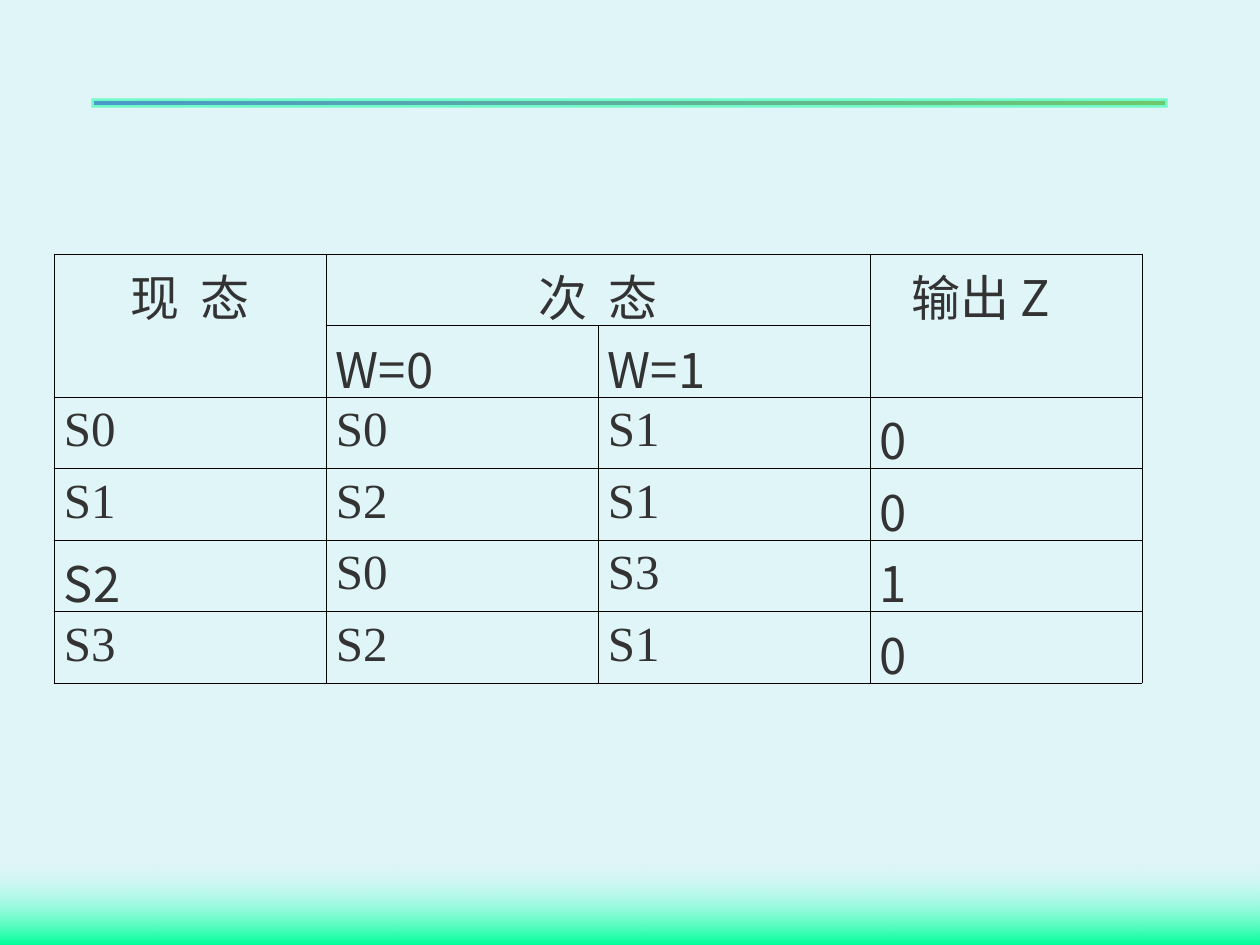
from dataclasses import dataclass

from lxml import etree
from pptx import Presentation
from pptx.dml.color import RGBColor
from pptx.enum.shapes import MSO_SHAPE
from pptx.enum.text import MSO_ANCHOR, PP_ALIGN
from pptx.oxml.ns import qn
from pptx.util import Emu, Pt

RECTANGLE = MSO_SHAPE.RECTANGLE
CENTER, JUSTIFY = PP_ALIGN.CENTER, PP_ALIGN.JUSTIFY
TOP = MSO_ANCHOR.TOP
PX_PER_INCH = 126


@dataclass(frozen=True)
class Theme:
    background: str = "E0F5F8"
    text: str = "333333"
    border: str = "000000"
    green: str = "00FF99"
    cyan: str = "CCFFFF"
    violet: str = "9933FF"
    orange: str = "E09142"
    serif: str = "Times New Roman"
    sans: str = "Noto Sans CJK SC"
    size: float = 28
    border_width: float = 0.45
    rule_width: float = 3


THEME = Theme()


@dataclass(frozen=True)
class Span:
    text: str
    font: str = THEME.serif
    spacing: int = 0  # extra letter spacing, hundredths of a point


@dataclass(frozen=True)
class Entry:
    row: int
    column: int
    spans: tuple[Span, ...]
    align: PP_ALIGN = JUSTIFY
    indent: int = 0
    rows: int = 1
    columns: int = 1


@dataclass(frozen=True)
class Band:
    left: int
    top: int
    width: int
    height: int
    start: str
    end: str
    angle: int  # counter-clockwise
    start_alpha: int = 100
    outline: str = ""


def px(length: int) -> Emu:
    return Emu(length * 914400 // PX_PER_INCH)


def set_alpha(color_element, percent: int) -> None:
    etree.SubElement(color_element, qn("a:alpha")).set("val", str(percent * 1000))


def draw_band(page, band: Band) -> None:
    shape = page.shapes.add_shape(
        RECTANGLE, px(band.left), px(band.top), px(band.width), px(band.height))
    shape.shadow.inherit = False
    shape.fill.gradient()
    shape.fill.gradient_angle = band.angle
    for stop, color in zip(shape.fill.gradient_stops, (band.start, band.end)):
        stop.color.rgb = RGBColor.from_string(color)
    properties = shape._element.spPr
    if band.start_alpha < 100:
        set_alpha(properties.find(".//" + qn("a:srgbClr")), band.start_alpha)
    if band.outline:
        shape.line.color.rgb = RGBColor.from_string(band.outline)
        shape.line.width = Pt(THEME.rule_width)
        outline = properties.find(qn("a:ln"))
        set_alpha(outline.find(".//" + qn("a:srgbClr")), 50)
        etree.SubElement(outline, qn("a:miter")).set("lim", "800000")
    else:
        shape.line.fill.background()


def style_cell(cell) -> None:
    cell_properties = cell._tc.get_or_add_tcPr()
    for side in ("lnL", "lnR", "lnT", "lnB"):
        line = etree.SubElement(cell_properties, qn(f"a:{side}"))
        line.set("w", str(Pt(THEME.border_width)))
        solid = etree.SubElement(line, qn("a:solidFill"))
        etree.SubElement(solid, qn("a:srgbClr")).set("val", THEME.border)
    cell.fill.background()
    cell.margin_left = cell.margin_right = px(10)
    cell.margin_top = px(6)
    cell.margin_bottom = px(-6)  # keeps the rows tighter than the line height
    cell.vertical_anchor = TOP


def write_entry(table, entry: Entry) -> None:
    cell = table.cell(entry.row, entry.column)
    if entry.rows > 1 or entry.columns > 1:
        cell.merge(table.cell(entry.row + entry.rows - 1,
                              entry.column + entry.columns - 1))
    para = cell.text_frame.paragraphs[0]
    para.alignment = entry.align
    if entry.indent:
        para._p.get_or_add_pPr().set("marL", str(px(entry.indent)))
    for span in entry.spans:
        run = para.add_run()
        run.text = span.text
        run.font.name = span.font
        run.font.size = Pt(THEME.size)
        run.font.color.rgb = RGBColor.from_string(THEME.text)
        run_properties = run._r.get_or_add_rPr()
        etree.SubElement(run_properties, qn("a:ea")).set("typeface", THEME.sans)
        if span.spacing:
            run_properties.set("spc", str(span.spacing))


def spaced(first: str, second: str) -> tuple[Span, ...]:
    return Span(first), Span(" ", spacing=600), Span(second)


# Transition table: present state, next state for W=0 and W=1, output
HEADINGS = [
    Entry(0, 0, spaced("现", "态"), CENTER, rows=2),
    Entry(0, 1, spaced("次", "态"), CENTER, columns=2),
    Entry(0, 3, (Span("输出 "), Span("Z", THEME.sans)), indent=32, rows=2),
    Entry(1, 1, (Span("W=0", THEME.sans),)),
    Entry(1, 2, (Span("W=1", THEME.sans),)),
]
STATES = [
    ("S0", "S0", "S1", "0"),
    ("S1", "S2", "S1", "0"),
    ("S2", "S0", "S3", "1"),
    ("S3", "S2", "S1", "0"),
]
SANS_CELLS = {(2, 0)} | {(row, 3) for row in range(len(STATES))}
BANDS = [
    Band(0, 861, 1260, 84, THEME.cyan, THEME.green, 270, start_alpha=0),
    Band(94, 101, 1071, 4, THEME.violet, THEME.orange, 0, outline=THEME.green),
]


def draw_table(page) -> None:
    row_count, column_count = len(STATES) + 2, 4
    frame = page.shapes.add_table(
        row_count, column_count, px(54), px(254), px(1088), px(429))
    table = frame.table
    table.first_row = table.horz_banding = False
    for cell in table.iter_cells():
        style_cell(cell)
    entries = HEADINGS + [
        Entry(row + 2, column,
              (Span(text, THEME.sans if (row, column) in SANS_CELLS else THEME.serif),))
        for row, state in enumerate(STATES) for column, text in enumerate(state)
    ]
    for entry in entries:
        write_entry(table, entry)


def main() -> None:
    deck = Presentation()
    deck.slide_width, deck.slide_height = px(1260), px(945)
    page = deck.slides.add_slide(deck.slide_layouts[6])
    page.background.fill.solid()
    page.background.fill.fore_color.rgb = RGBColor.from_string(THEME.background)
    # Footer glow and heading rule
    for band in BANDS:
        draw_band(page, band)
    draw_table(page)
    deck.save("out.pptx")


if __name__ == "__main__":
    main()
